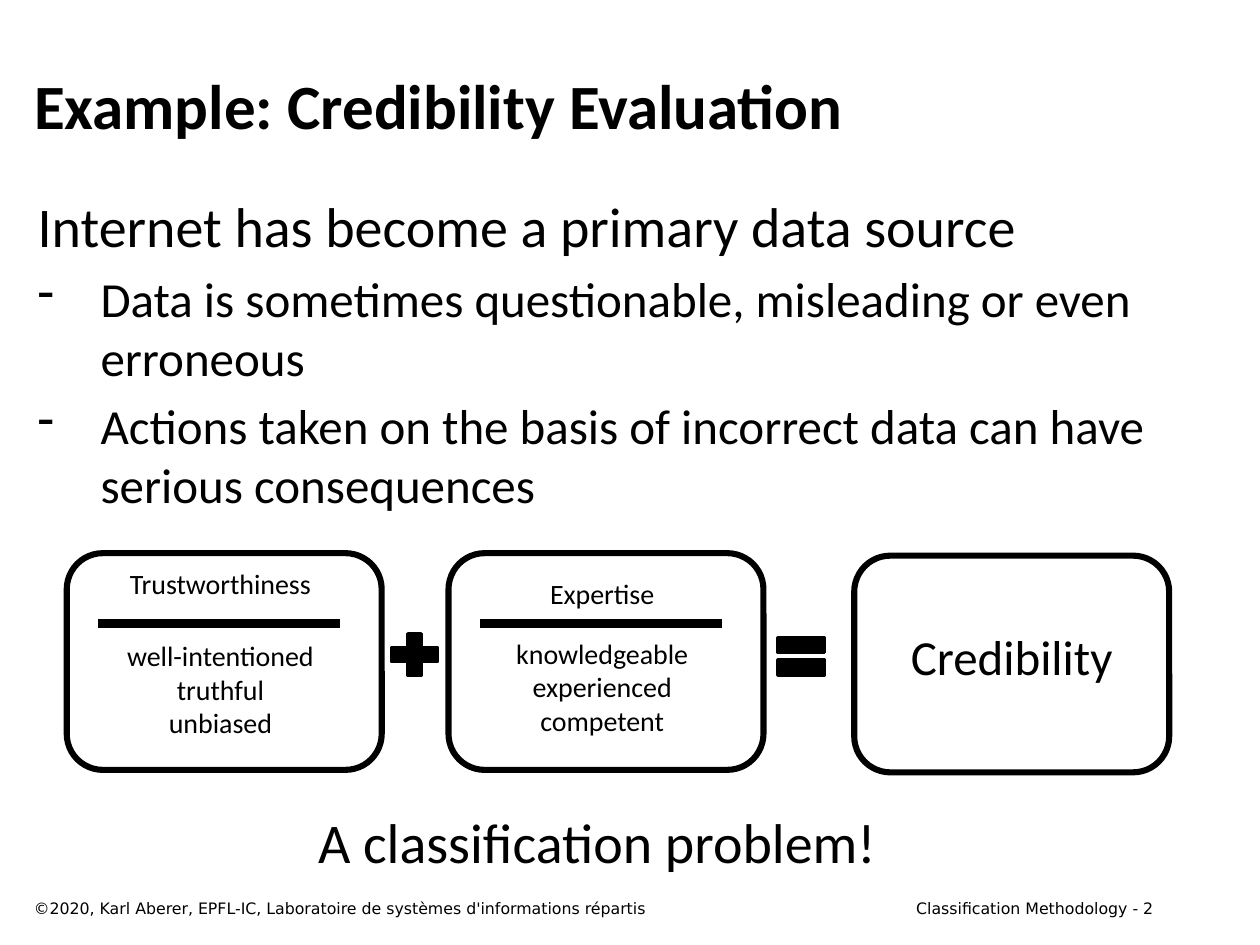
from dataclasses import dataclass

from lxml.etree import SubElement
from pptx import Presentation
from pptx.dml.color import RGBColor
from pptx.enum.shapes import MSO_CONNECTOR as Connector, MSO_SHAPE as Shape
from pptx.enum.text import MSO_ANCHOR as Anchor, PP_ALIGN as Align
from pptx.oxml.ns import qn
from pptx.util import Emu, Inches, Pt

COLORS = {"ink": "000000", "paper": "FFFFFF"}
BODY_FONT, FOOTER_FONT = "Calibri", "DejaVu Sans"
COLUMNS, ROWS = 100, 75
BOX_WIDTH, BOX_HEIGHT = 25, 17.2
RULE_INSET, RULE_WIDTH, RULE_ROW = 2.5, 19.2, 49.5

presentation = Presentation()
presentation.slide_width, presentation.slide_height = Inches(10), Inches(7.5)


@dataclass
class Area:
    """A place on the grid, in columns and rows."""
    left: float
    top: float
    width: float
    height: float

    def lengths(self) -> tuple:
        return across(self.left), down(self.top), across(self.width), down(self.height)


@dataclass
class Factor:
    left: float
    name: str
    name_top: float
    traits: list
    traits_top: float


FACTORS = [
    Factor(5.3, "Trustworthiness", 44.5, ["well-intentioned", "truthful", "unbiased"], 50.2),
    Factor(35.6, "Expertise", 45.3, ["knowledgeable", "experienced", "competent"], 50),
]
OPERATORS = [
    (Shape.MATH_PLUS, Area(30.4, 49.7, 5, 4.5)),
    (Shape.MATH_EQUAL, Area(61.1, 49.6, 5, 5)),
]
FOOTERS = [
    (Area(1.7, 70.8, 64.2, 2.5), Align.LEFT,
     "©2020, Karl Aberer, EPFL-IC, Laboratoire de systèmes d'informations répartis"),
    (Area(69.7, 70.8, 22.8, 2.5), Align.RIGHT, "Classification Methodology - 2"),
]
STATEMENT = "Internet has become a primary data source"
CONCERNS = [
    "Data is sometimes questionable, misleading or even erroneous",
    "Actions taken on the basis of incorrect data can have serious consequences",
]


def across(columns: float) -> Emu:
    return Emu(round(presentation.slide_width * columns / COLUMNS))


def down(rows: float) -> Emu:
    return Emu(round(presentation.slide_height * rows / ROWS))


def color(name: str) -> RGBColor:
    return RGBColor.from_string(COLORS[name])


def style(paragraph, size: float, font: str = BODY_FONT, bold: bool = False) -> None:
    for run in paragraph.runs:
        run.font.name, run.font.size, run.font.bold = font, Pt(size), bold
        run.font.color.rgb = color("ink")


def add_text(slide, area: Area, lines: list, size: float, align=Align.CENTER,
             font: str = BODY_FONT, wrap: bool = False):
    frame = slide.shapes.add_textbox(*area.lengths()).text_frame
    frame.word_wrap = wrap
    frame.text = "\n".join(lines)
    for paragraph in frame.paragraphs:
        paragraph.alignment = align
        style(paragraph, size, font)
    return frame


def add_dash(paragraph) -> None:
    """Hang the paragraph behind a dash bullet."""
    properties = paragraph._p.get_or_add_pPr()
    properties.set("marL", str(Inches(0.5)))
    properties.set("indent", str(-Inches(0.5)))
    SubElement(properties, qn("a:buChar"), char="-")


def add_outlined(slide, kind, area: Area, weight: float, filled: bool = False) -> None:
    shape = slide.shapes.add_shape(kind, *area.lengths())
    shape.shadow.inherit = False
    if filled:
        shape.fill.solid()
        shape.fill.fore_color.rgb = color("ink")
    else:
        shape.fill.background()
    shape.line.color.rgb = color("ink")
    shape.line.width = Pt(weight)


def add_rule(slide, left: float, row: float) -> None:
    rule = slide.shapes.add_connector(
        Connector.STRAIGHT, across(left), down(row), across(left + RULE_WIDTH), down(row))
    rule.line.color.rgb = color("ink")
    rule.line.width = Pt(5)
    SubElement(rule._element.spPr, qn("a:effectLst"))


def add_factor(slide, factor: Factor) -> None:
    add_outlined(slide, Shape.ROUNDED_RECTANGLE,
                 Area(factor.left, 43.9, BOX_WIDTH, BOX_HEIGHT), 3.5)
    add_rule(slide, factor.left + RULE_INSET, RULE_ROW)
    # Labels are centred just left of the middle of the box
    text_left, text_width = factor.left - 0.3, BOX_WIDTH
    add_text(slide, Area(text_left, factor.name_top, text_width, 3.7), [factor.name], 16)
    add_text(slide, Area(text_left, factor.traits_top, text_width, 9.1), factor.traits, 16)


def main() -> None:
    slide = presentation.slides.add_slide(presentation.slide_layouts[5])
    slide.background.fill.solid()
    slide.background.fill.fore_color.rgb = color("paper")

    title = slide.shapes.title
    title.left, title.top, title.width, title.height = Area(1.7, 3.3, 90.8, 10).lengths()
    title.text_frame.text = "Example: Credibility Evaluation"
    title.text_frame.vertical_anchor = Anchor.MIDDLE
    title.text_frame.paragraphs[0].alignment = Align.LEFT
    style(title.text_frame.paragraphs[0], 36, bold=True)

    body = add_text(slide, Area(2, 14.7, 90.8, 27), [STATEMENT, *CONCERNS], 28,
                    Align.LEFT, wrap=True)
    statement, *concerns = body.paragraphs
    style(statement, 32)
    for concern in concerns:
        concern.space_before = Pt(5.6)
        add_dash(concern)

    for factor in FACTORS:
        add_factor(slide, factor)
    for kind, area in OPERATORS:
        add_outlined(slide, kind, area, 2, filled=True)
    add_outlined(slide, Shape.ROUNDED_RECTANGLE, Area(67.8, 44.1, BOX_WIDTH, BOX_HEIGHT), 3.5)
    add_text(slide, Area(67.8, 49.2, BOX_WIDTH, 5.7), ["Credibility"], 28)
    add_text(slide, Area(24, 63.6, 46.8, 6.4), ["A classification problem!"], 32)

    for area, align, text in FOOTERS:
        add_text(slide, area, [text], 9, align, FOOTER_FONT, wrap=True)

    presentation.save("out.pptx")


if __name__ == "__main__":
    main()
